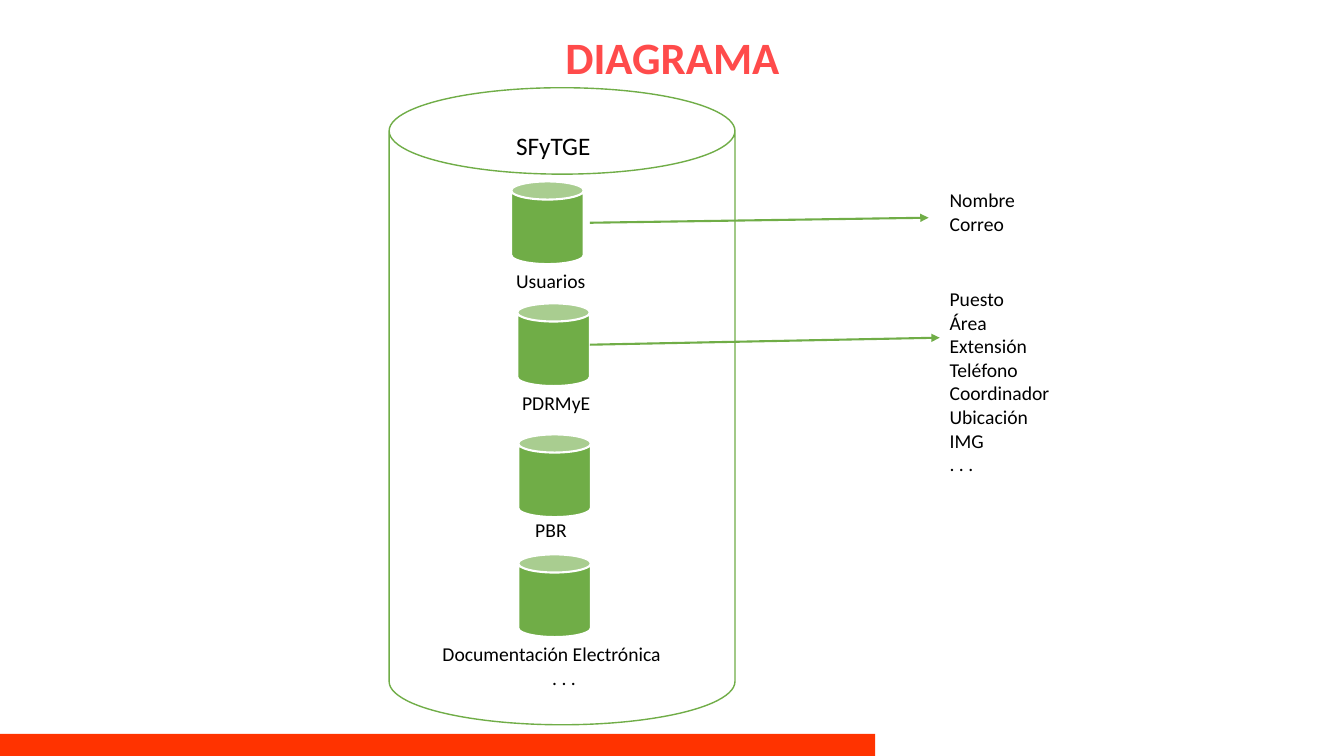
from lxml.etree import SubElement
from pptx import Presentation
from pptx.dml.color import RGBColor
from pptx.enum.shapes import MSO_CONNECTOR, MSO_SHAPE
from pptx.enum.text import MSO_ANCHOR, PP_ALIGN
from pptx.oxml.ns import qn
from pptx.util import Inches, Pt

GREEN = RGBColor(0x70, 0xAD, 0x47)
CORAL = RGBColor(0xFF, 0x4B, 0x4B)
RED = RGBColor(0xFF, 0x33, 0x00)
WHITE = RGBColor(0xFF, 0xFF, 0xFF)
BLACK = RGBColor(0, 0, 0)
FONT = "Calibri"

# Database name, can offset, label box and alignment of each line,
# all measured from the corner of the large can
DATABASES = [
    (["Usuarios"], (1.21, 0.93), (1.16, 1.75, 0.9, 0.34)),
    (["PDRMyE"], (1.27, 2.14), (1.22, 2.96, 0.89, 0.34)),
    (["PBR"], (1.28, 3.44), (1.35, 4.22, 0.52, 0.34)),
    (["Documentación Electrónica", ". . ."], (1.28, 4.63), (0.43, 5.45, 2.61, 0.57)),
]
# Field names, text box, arrow start and arrow end
FIELD_LISTS = [
    (["Nombre", "Correo"], (9.32, 1.82, 0.86, 0.57), (5.85, 2.21), (9.21, 2.16)),
    (["Puesto", "Área", "Extensión", "Teléfono", "Coordinador", "Ubicación", "IMG", ". . ."],
     (9.32, 2.8, 1.2, 1.99), (5.85, 3.42), (9.32, 3.35)),
]


def to_inches(values):
    return [Inches(value) for value in values]


def write_lines(frame, lines, size=14, color=BLACK, bold=False, aligns=()):
    for index, line in enumerate(lines):
        para = frame.paragraphs[0] if index == 0 else frame.add_paragraph()
        if index < len(aligns):
            para.alignment = aligns[index]
        span = para.add_run()
        span.text = line
        span.font.name = FONT
        span.font.size = Pt(size)
        span.font.bold = bold
        span.font.color.rgb = color


def add_label(page, box, lines, wrap=False, **text_format):
    frame = page.shapes.add_textbox(*to_inches(box)).text_frame
    frame.word_wrap = wrap
    write_lines(frame, lines, **text_format)


def add_block(page, kind, box, fill, line=None, width=1):
    shape = page.shapes.add_shape(kind, *to_inches(box))
    shape.shadow.inherit = False
    shape.fill.solid()
    shape.fill.fore_color.rgb = fill
    if line is None:
        shape.line.fill.background()
    else:
        shape.line.color.rgb = line
        shape.line.width = Pt(width)


def add_arrow(page, start, end):
    arrow = page.shapes.add_connector(MSO_CONNECTOR.STRAIGHT, *to_inches(start + end))
    arrow.line.color.rgb = GREEN
    arrow.line.width = Pt(1.5)
    SubElement(arrow.line._get_or_add_ln(), qn("a:tailEnd"), type="triangle")
    SubElement(arrow._element.spPr, qn("a:effectLst"))


def add_title(page, box, text):
    title = page.shapes.title
    title.left, title.top, title.width, title.height = to_inches(box)
    frame = title.text_frame
    frame.vertical_anchor = MSO_ANCHOR.MIDDLE
    write_lines(frame, [text], size=32, color=CORAL, bold=True, aligns=[PP_ALIGN.CENTER])
    frame.paragraphs[0].line_spacing = 0.9


def add_system(page, box):
    left, top = box[:2]
    add_block(page, MSO_SHAPE.CAN, box, WHITE, line=GREEN)
    add_label(page, (left + 1.16, top + 0.37, 0.94, 0.4), ["SFyTGE"], size=18)
    for lines, (can_x, can_y), (label_x, label_y, width, height) in DATABASES:
        add_block(page, MSO_SHAPE.CAN, (left + can_x, top + can_y, 0.72, 0.82),
                  GREEN, line=WHITE, width=1.5)
        add_label(page, (left + label_x, top + label_y, width, height), lines,
                  wrap=len(lines) > 1, aligns=[PP_ALIGN.LEFT, PP_ALIGN.CENTER])


def add_field_lists(page):
    for lines, box, start, end in FIELD_LISTS:
        add_arrow(page, start, end)
        add_label(page, box, lines)


deck = Presentation()
deck.slide_width, deck.slide_height = Inches(13.33), Inches(7.5)
page = deck.slides.add_slide(deck.slide_layouts[5])

# Title, system with its databases, fields, footer bar
add_title(page, (0.92, 0.27, 11.5, 0.64), "DIAGRAMA")
add_system(page, (3.86, 0.87, 3.43, 6.32))
add_field_lists(page)
add_block(page, MSO_SHAPE.RECTANGLE, (0, 7.28, 8.68, 0.22), RED)

deck.save("out.pptx")
